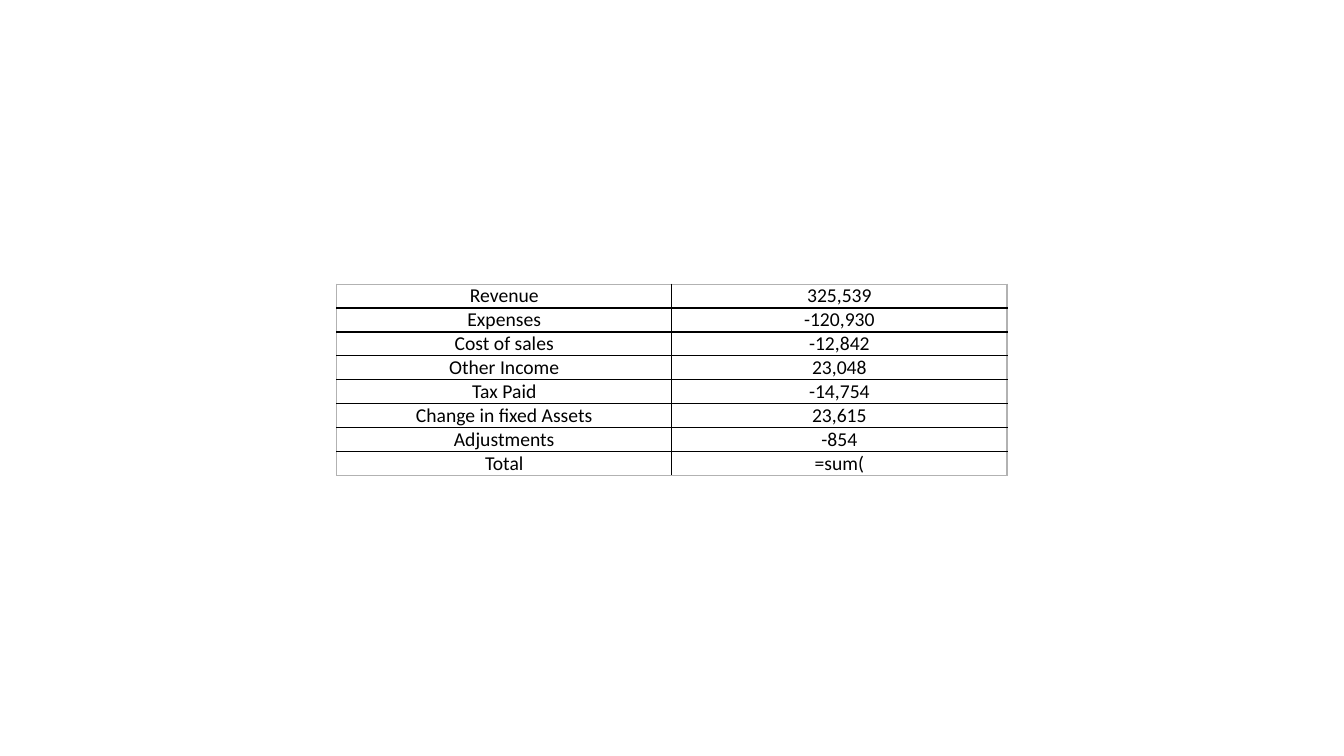
from dataclasses import dataclass

from lxml import etree
from pptx import Presentation
from pptx.dml.color import RGBColor
from pptx.enum.text import MSO_ANCHOR, PP_ALIGN
from pptx.oxml.ns import qn
from pptx.util import Pt

CENTER = PP_ALIGN.CENTER
MIDDLE = MSO_ANCHOR.MIDDLE

ROWS = [
    ("Revenue", "325,539"),
    ("Expenses", "-120,930"),
    ("Cost of sales", "-12,842"),
    ("Other Income", "23,048"),
    ("Tax Paid", "-14,754"),
    ("Change in fixed Assets", "23,615"),
    ("Adjustments", "-854"),
    ("Total", "=sum("),
]


@dataclass(frozen=True)
class Theme:
    font: str = "Calibri"
    size: float = 14
    ink: str = "000000"
    frame: str = "B2B2B2"
    line: float = 1


THEME = Theme()
SLIDE_W, SLIDE_H = 960, 540
LEFT, TOP = 240.5, 203
COL_W, ROW_H = 239.4, 16.8


def write(tf, text, *, size=THEME.size, color=THEME.ink, font=THEME.font, align=CENTER):
    p = tf.paragraphs[0]
    p.alignment = align
    r = p.add_run()
    r.text = text
    r.font.name = font
    r.font.size = Pt(size)
    r.font.color.rgb = RGBColor.from_string(color)


def set_borders(cell, colors):
    tc_pr = cell._tc.get_or_add_tcPr()
    for i, (side, color) in enumerate(colors.items()):
        ln = etree.Element(qn(f"a:ln{side}"), w=str(Pt(THEME.line)))
        fill = etree.SubElement(ln, qn("a:solidFill"))
        etree.SubElement(fill, qn("a:srgbClr"), val=color)
        tc_pr.insert(i, ln)


def add_accounts_table(s):
    n_rows, n_cols = len(ROWS), len(ROWS[0])
    frame = s.shapes.add_table(
        n_rows, n_cols, Pt(LEFT), Pt(TOP), Pt(COL_W * n_cols), Pt(ROW_H * n_rows)
    )
    table = frame.table
    table.first_row = False
    table.horz_banding = False
    for col in table.columns:
        col.width = Pt(COL_W)
    for i, values in enumerate(ROWS):
        table.rows[i].height = Pt(ROW_H)
        for j, text in enumerate(values):
            cell = table.cell(i, j)
            cell.margin_left = cell.margin_right = Pt(0)
            cell.margin_top = cell.margin_bottom = Pt(0)
            cell.vertical_anchor = MIDDLE
            cell.fill.background()
            write(cell.text_frame, text)
            outer = {"L": j == 0, "R": j == n_cols - 1, "T": i == 0, "B": i == n_rows - 1}
            set_borders(
                cell,
                {side: THEME.frame if edge else THEME.ink for side, edge in outer.items()},
            )


def main():
    prs = Presentation()
    prs.slide_width, prs.slide_height = Pt(SLIDE_W), Pt(SLIDE_H)
    s = prs.slides.add_slide(prs.slide_layouts[6])
    add_accounts_table(s)
    prs.save("out.pptx")


if __name__ == "__main__":
    main()
